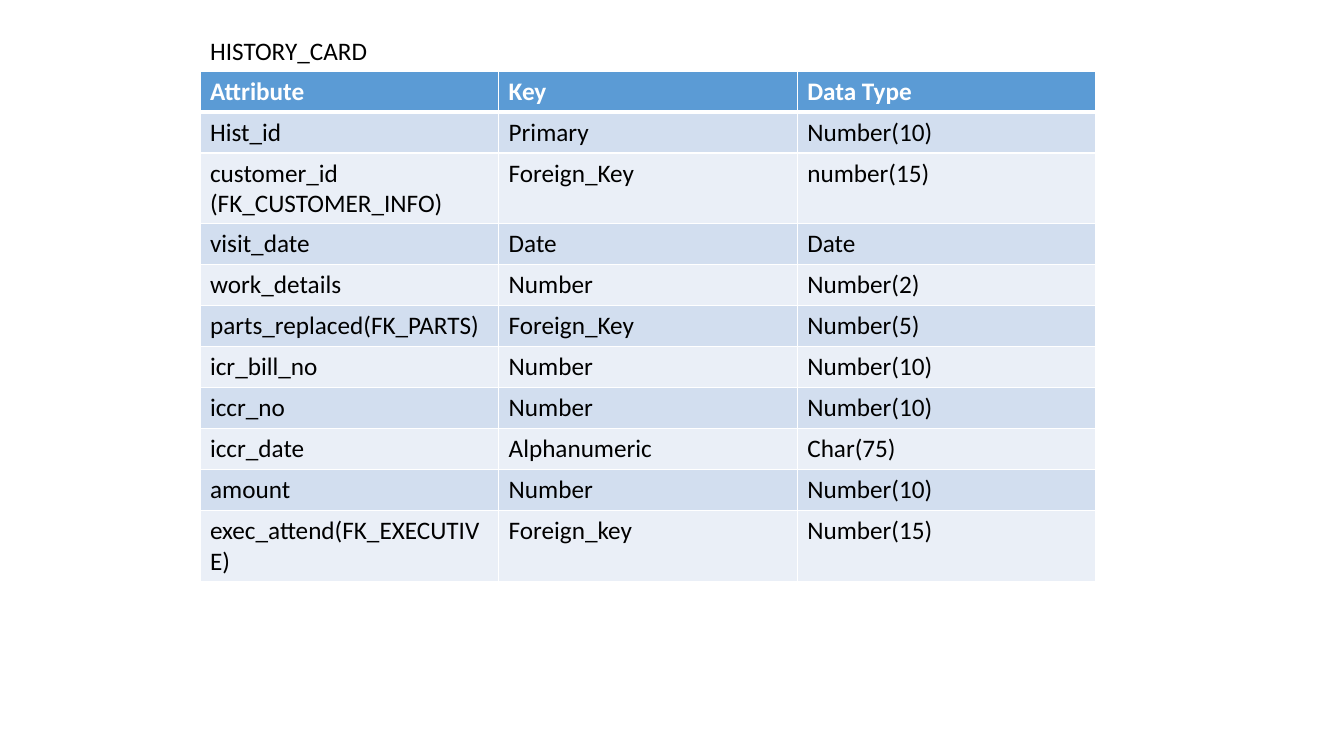
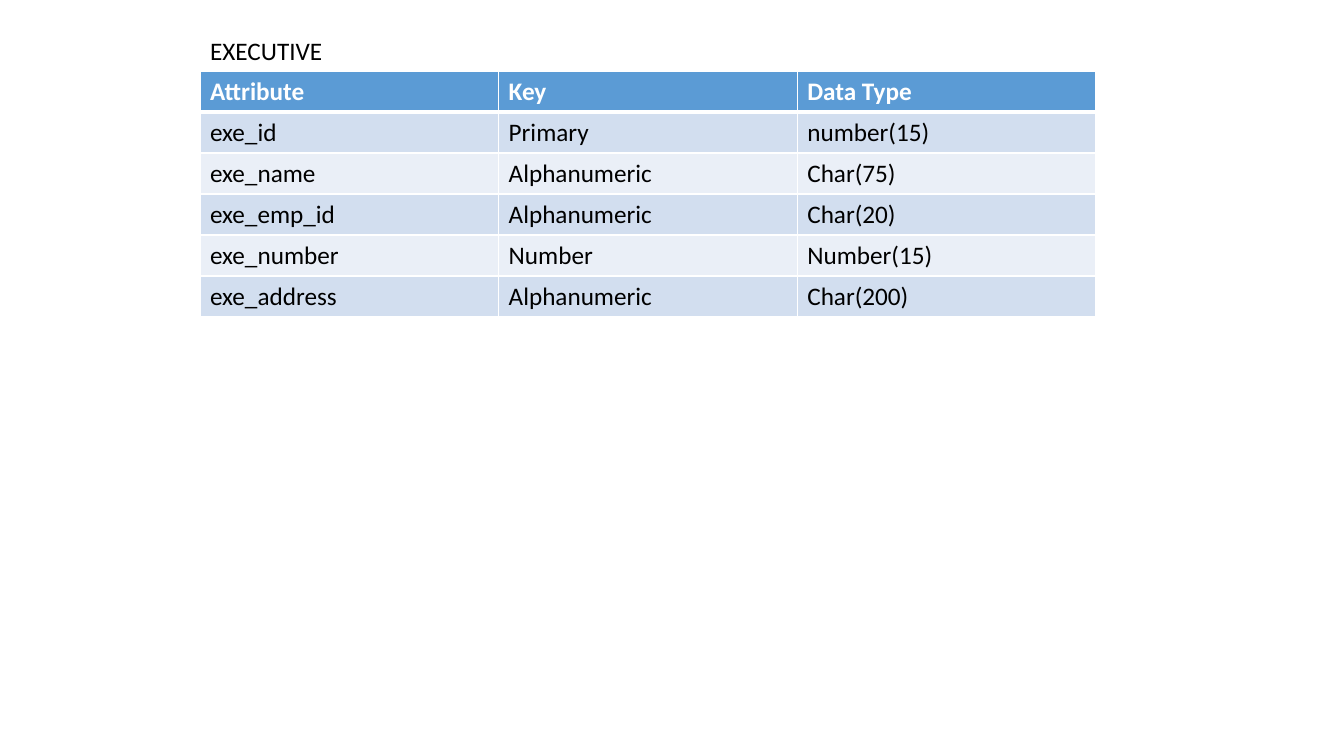
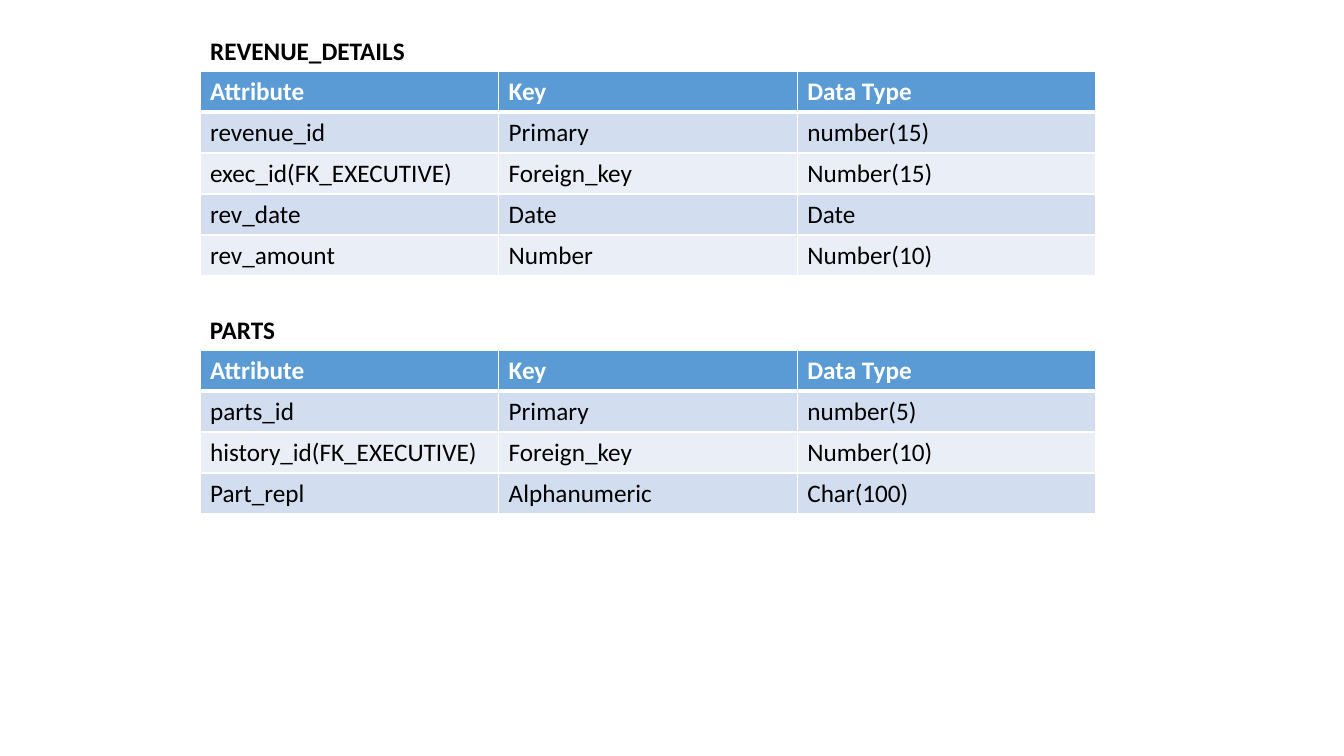
from lxml import etree
from pptx import Presentation
from pptx import util as u
from pptx.dml.color import RGBColor
from pptx.enum import text
from pptx.oxml.ns import qn

HEADER = ("Attribute", "Key", "Data Type")

# Each slide is a list of entities: caption, caption box (top, width), bold, rows.
SLIDES = [
    [
        ("HISTORY_CARD", (30, 178), False, [
            ("Hist_id", "Primary", "Number(10)"),
            ("customer_id\n(FK_CUSTOMER_INFO)", "Foreign_Key", "number(15)"),
            ("visit_date", "Date", "Date"),
            ("work_details", "Number", "Number(2)"),
            ("parts_replaced(FK_PARTS)", "Foreign_Key", "Number(5)"),
            ("icr_bill_no", "Number", "Number(10)"),
            ("iccr_no", "Number", "Number(10)"),
            ("iccr_date", "Alphanumeric", "Char(75)"),
            ("amount", "Number", "Number(10)"),
            ("exec_attend(FK_EXECUTIVE)", "Foreign_key", "Number(15)"),
        ]),
    ],
    [
        ("EXECUTIVE", (30, 133), False, [
            ("exe_id", "Primary", "number(15)"),
            ("exe_name", "Alphanumeric", "Char(75)"),
            ("exe_emp_id", "Alphanumeric", "Char(20)"),
            ("exe_number", "Number", "Number(15)"),
            ("exe_address", "Alphanumeric", "Char(200)"),
        ]),
    ],
    [
        ("REVENUE_DETAILS", (30, 217), True, [
            ("revenue_id", "Primary", "number(15)"),
            ("exec_id(FK_EXECUTIVE)", "Foreign_key", "Number(15)"),
            ("rev_date", "Date", "Date"),
            ("rev_amount", "Number", "Number(10)"),
        ]),
        ("PARTS", (309, 86), True, [
            ("parts_id", "Primary", "number(5)"),
            ("history_id(FK_EXECUTIVE)", "Foreign_key", "Number(10)"),
            ("Part_repl", "Alphanumeric", "Char(100)"),
        ]),
    ],
]

FONT, SIZE = "Calibri", 18
WHITE, BLACK, HEADER_FILL = "FFFFFF", "000000", "5B9BD5"
BAND_FILLS = ("D2DEEF", "EAEFF7")
LEFT, TABLE_WIDTH, ROW_HEIGHT = 200, 896, 41
CAPTION_HEIGHT, TABLE_OFFSET = 40, 41
THIN, THICK = 1, 3


def px(pixels):
    """Turn pixels into EMU."""
    return u.Emu(round(pixels * 914400 / 100.8))


def color(hex_code):
    """Turn a hex string into a colour."""
    return RGBColor.from_string(hex_code)


def format_text(frame, hex_code, bold):
    """Give every run of a text frame the shared font."""
    for paragraph in frame.paragraphs:
        paragraph.alignment = text.PP_ALIGN.LEFT
        for run in paragraph.runs:
            run.font.name = FONT
            run.font.size = u.Pt(SIZE)
            run.font.bold = bold
            run.font.color.rgb = color(hex_code)


def add_border(cell, side, points):
    """Draw a white line along one side of a cell."""
    properties = cell._tc.get_or_add_tcPr()
    line = etree.SubElement(properties, qn("a:ln" + side), w=str(u.Pt(points)))
    fill = etree.SubElement(line, qn("a:solidFill"))
    etree.SubElement(fill, qn("a:srgbClr"), val=WHITE)


def format_caption(shape, caption, top, width, bold):
    """Place and fill the caption above a table."""
    shape.left, shape.top = px(LEFT), px(top)
    shape.width, shape.height = px(width), px(CAPTION_HEIGHT)
    frame = shape.text_frame
    frame.text = caption
    frame.word_wrap = False
    frame.auto_size = text.MSO_AUTO_SIZE.SHAPE_TO_FIT_TEXT
    frame.vertical_anchor = text.MSO_ANCHOR.TOP
    format_text(frame, BLACK, bold)


def format_cell(cell, value, row):
    """Fill one cell, its borders and its band colour."""
    cell.text = value
    is_header = row == 0
    format_text(cell.text_frame, WHITE if is_header else BLACK, is_header)
    widths = {"L": THIN, "R": THIN,
              "T": THICK if row == 1 else THIN,
              "B": THICK if is_header else THIN}
    for side, points in widths.items():
        add_border(cell, side, points)
    cell.fill.solid()
    cell.fill.fore_color.rgb = color(
        HEADER_FILL if is_header else BAND_FILLS[(row - 1) % 2])


def add_entity_table(slide, rows, top):
    """Add the attribute table of one entity."""
    lines = [HEADER] + rows
    table = slide.shapes.add_table(
        len(lines), len(HEADER), px(LEFT), px(top),
        px(TABLE_WIDTH), px(ROW_HEIGHT * len(lines))).table
    for row, values in enumerate(lines):
        for column, value in enumerate(values):
            format_cell(table.cell(row, column), value, row)


presentation = Presentation()
presentation.slide_width, presentation.slide_height = px(1344), px(756)
for entities in SLIDES:
    slide = presentation.slides.add_slide(presentation.slide_layouts[5])
    for index, (caption, (top, width), bold, rows) in enumerate(entities):
        shape = slide.shapes.add_textbox(0, 0, 0, 0) if index else slide.shapes.title
        format_caption(shape, caption, top, width, bold)
        add_entity_table(slide, rows, top + TABLE_OFFSET)
presentation.save("out.pptx")
